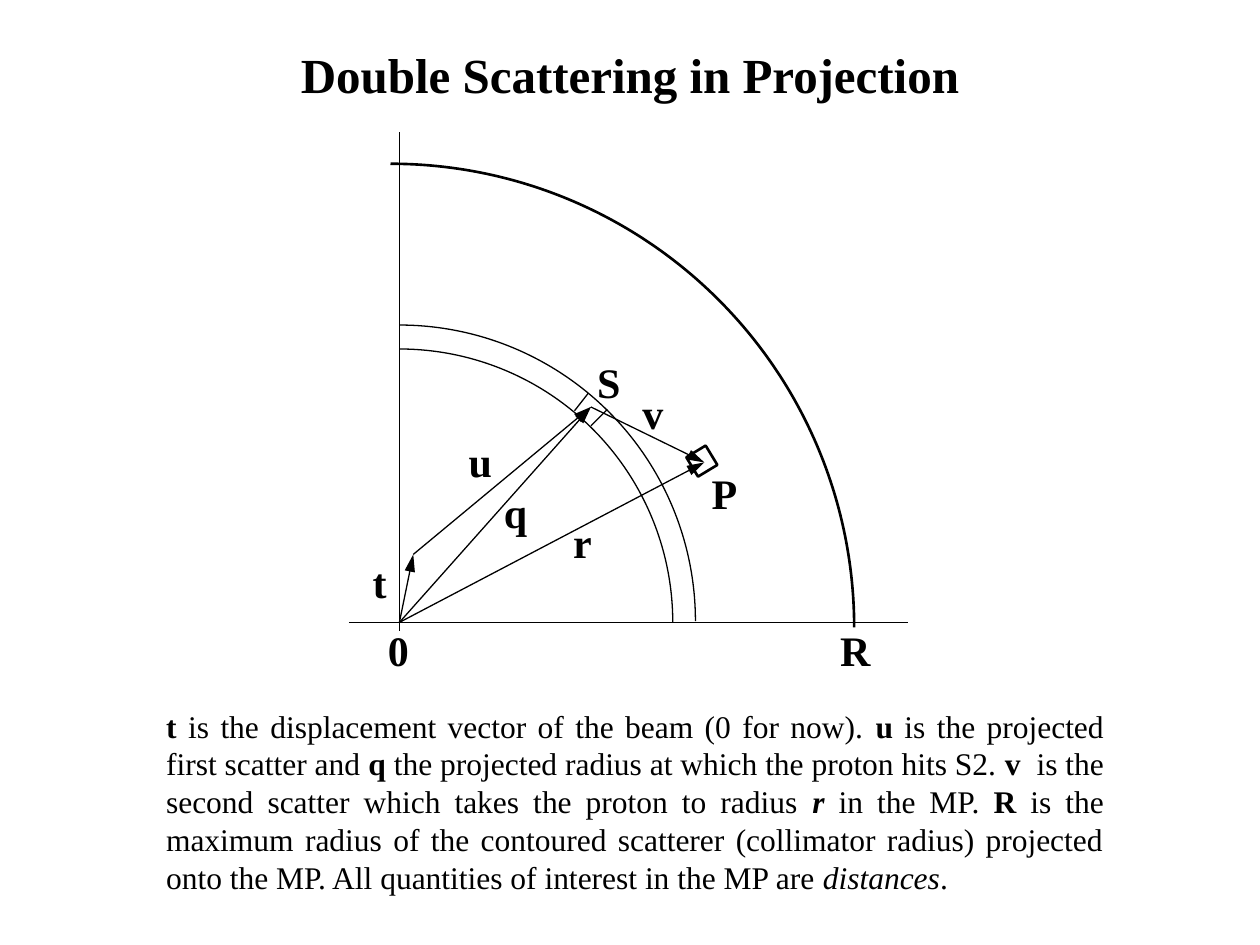
from dataclasses import dataclass

from lxml.etree import SubElement
from pptx import Presentation
from pptx.dml.color import RGBColor
from pptx.enum.shapes import MSO_CONNECTOR as Link, MSO_SHAPE as Form
from pptx.enum.text import MSO_ANCHOR as Anchor, MSO_AUTO_SIZE as Fit, PP_ALIGN as Align
from pptx.oxml.ns import qn
from pptx.util import Inches, Pt


@dataclass(frozen=True)
class Theme:
    """Colours, type sizes and line widths of the slide."""
    ink: RGBColor = RGBColor(0, 0, 0)
    paper: RGBColor = RGBColor(255, 255, 255)
    font: str = "Times New Roman"
    title: Pt = Pt(28)
    label: Pt = Pt(24)
    body: Pt = Pt(18)
    thin: Pt = Pt(0.75)
    axis: Pt = Pt(1)
    bold: Pt = Pt(1.5)


THEME = Theme()
TITLE_BOX = (0.5, 0.3, 9, 0.57)
DIAGRAM_BOX = (2.77, 1.05, 4.44, 4.36)
CAPTION_BOX = (1.22, 5.56, 7.64, 1.9)

ORIGIN = (0, 0)
BEAM = (0.11, -0.54)
SCATTER = (1.52, -1.71)
TARGET = (2.42, -1.27)

AXES = [((0, -3.89), (0, 0.07)), ((-0.4, 0), (4.04, 0))]
TICKS = [((1.39, -1.68), (1.5, -1.82)), ((1.52, -1.56), (1.65, -1.69))]
VECTORS = [(ORIGIN, BEAM), (BEAM, SCATTER), (ORIGIN, SCATTER),
           (SCATTER, TARGET), (ORIGIN, TARGET)]
ARCS = [((-0.07, 0.04), 3.68, THEME.bold),
        ((0, 0), 2.17, THEME.thin),
        ((0, -0.01), 2.35, THEME.thin)]
LABELS = [("u", 0.45, -1.53, 0.42), ("q", 0.73, -1.13, 0.41), ("r", 1.28, -0.89, 0.37),
          ("v", 1.83, -1.91, 0.4), ("t", -0.31, -0.57, 0.33), ("S", 1.47, -2.16, 0.39),
          ("R", 3.4, -0.03, 0.43), ("P", 2.38, -1.28, 0.41), ("0", -0.19, -0.03, 0.38)]

PLAIN, BOLD, ITALIC = {"bold": False}, {"bold": True}, {"italic": True}
CAPTION = [
    ("t ", BOLD), ("is the displacement vector of the beam (0 for now). ", PLAIN),
    ("u", BOLD), (" is the projected first scatter and ", PLAIN),
    ("q", BOLD), (" the projected radius at which the proton hits S2. ", PLAIN),
    ("v", BOLD), ("  is the second scatter which takes the proton to radius ", PLAIN),
    ("r", BOLD | ITALIC), (" in the MP. ", PLAIN),
    ("R", BOLD), (" is the maximum radius of the contoured scatterer (collimator radius) "
                  "projected onto the MP. All quantities of interest in the MP are ", PLAIN),
    ("distances", ITALIC), (".", PLAIN),
]


def apply(target, values):
    """Set each named attribute on the target."""
    for name, value in values.items():
        setattr(target, name, value)


def write(frame, pieces, size, align, **layout):
    """Fill a text frame with one paragraph of formatted pieces."""
    apply(frame, layout)
    para = frame.paragraphs[0]
    para.alignment = align
    for text, style in pieces:
        span = para.add_run()
        span.text = text
        apply(span.font, {"name": THEME.font, "size": size, **style})
        span.font.color.rgb = THEME.ink


def draw_line(shapes, start, end, width, arrow=False):
    """Draw a straight line, with an arrowhead at its end if asked."""
    line = shapes.add_connector(Link.STRAIGHT, *map(Inches, (*start, *end)))
    line.line.color.rgb = THEME.ink
    line.line.width = width
    if arrow:
        SubElement(line.line._get_or_add_ln(), qn("a:tailEnd"),
                   type="triangle", w="med", len="lg")
    SubElement(line._element.spPr, qn("a:effectLst"))


def draw_outline(shapes, form, center, radius, width):
    """Draw an unfilled shape of equal sides around a center."""
    x, y = center
    shape = shapes.add_shape(form, *map(Inches, (x - radius, y - radius, 2 * radius, 2 * radius)))
    shape.shadow.inherit = False
    shape.fill.background()
    shape.line.color.rgb = THEME.ink
    shape.line.width = width
    return shape


def add_title(page, box):
    """Place and format the title."""
    title = page.shapes.title
    apply(title, dict(zip(("left", "top", "width", "height"), map(Inches, box))))
    write(title.text_frame, [("Double Scattering in Projection", BOLD)], THEME.title,
          Align.CENTER, vertical_anchor=Anchor.MIDDLE, auto_size=Fit.NONE, word_wrap=True)


def add_diagram(page, box):
    """Draw the vector diagram around an origin inside the box."""
    left, top = box[0] + 0.4, box[1] + 3.89
    shapes = page.shapes.add_group_shape().shapes

    def place(point):
        """Shift a point from the origin onto the slide."""
        return left + point[0], top + point[1]

    for start, end in AXES:
        draw_line(shapes, place(start), place(end), THEME.axis)
    for center, radius, width in ARCS:
        draw_outline(shapes, Form.ARC, place(center), radius, width)
    for start, end in TICKS:
        draw_line(shapes, place(start), place(end), THEME.thin)
    for start, end in VECTORS:
        draw_line(shapes, place(start), place(end), THEME.thin, arrow=True)
    draw_outline(shapes, Form.RECTANGLE, place((2.4, -1.28)), 0.09, THEME.bold).rotation = 58.8
    for text, x, y, width in LABELS:
        label = shapes.add_textbox(*map(Inches, (*place((x, y)), width, 0.5)))
        write(label.text_frame, [(text, BOLD)], THEME.label, Align.LEFT,
              word_wrap=False, auto_size=Fit.SHAPE_TO_FIT_TEXT)


def add_caption(page, box):
    """Write the explanation of the symbols."""
    caption = page.shapes.add_textbox(*map(Inches, box))
    write(caption.text_frame, CAPTION, THEME.body, Align.JUSTIFY,
          word_wrap=True, auto_size=Fit.SHAPE_TO_FIT_TEXT)


def main():
    """Build and save the deck."""
    deck = Presentation()
    deck.slide_width, deck.slide_height = Inches(10), Inches(7.5)
    page = deck.slides.add_slide(deck.slide_layouts.get_by_name("Title Only"))
    page.background.fill.solid()
    page.background.fill.fore_color.rgb = THEME.paper
    add_title(page, TITLE_BOX)
    add_diagram(page, DIAGRAM_BOX)
    add_caption(page, CAPTION_BOX)
    deck.save("out.pptx")


if __name__ == "__main__":
    main()
